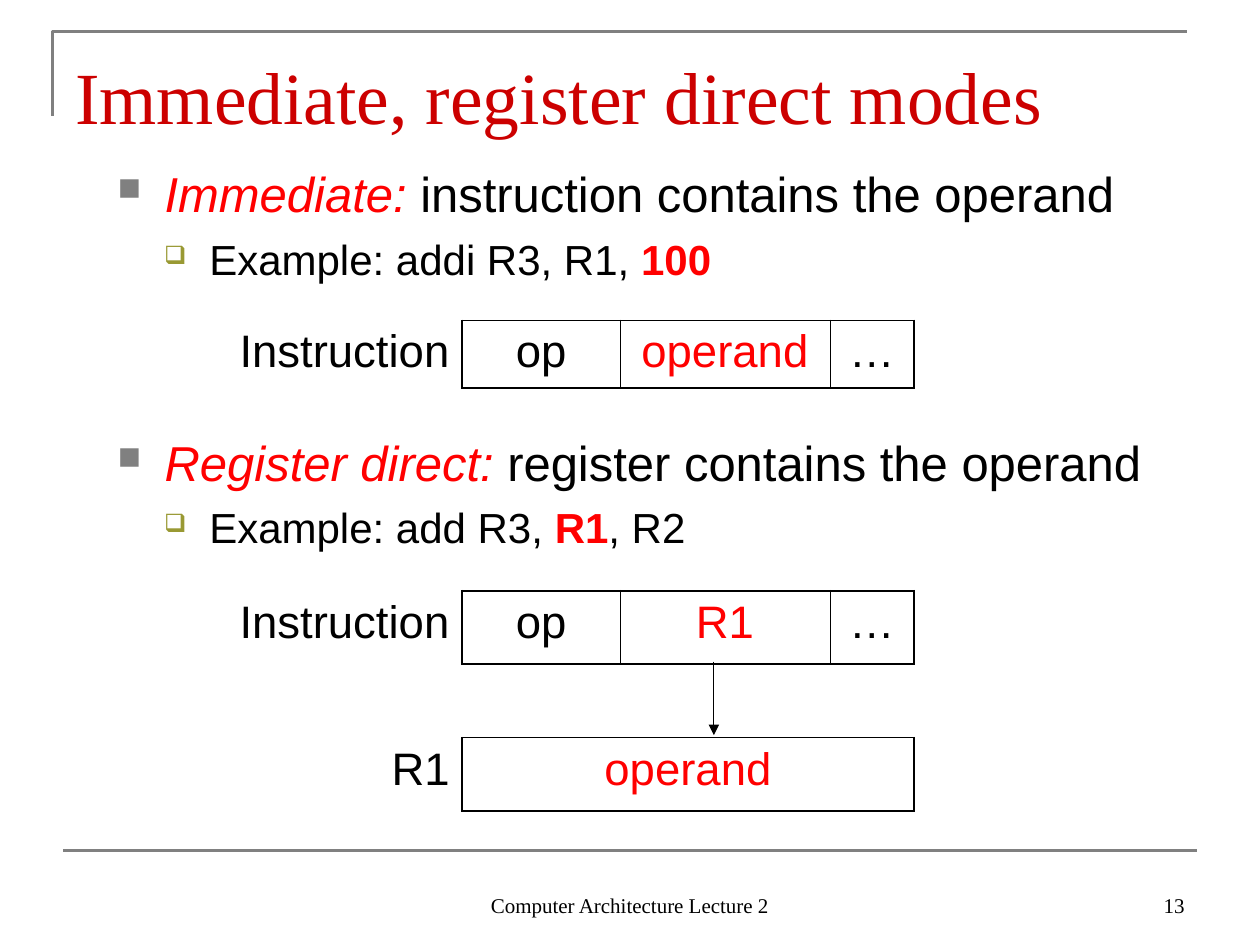
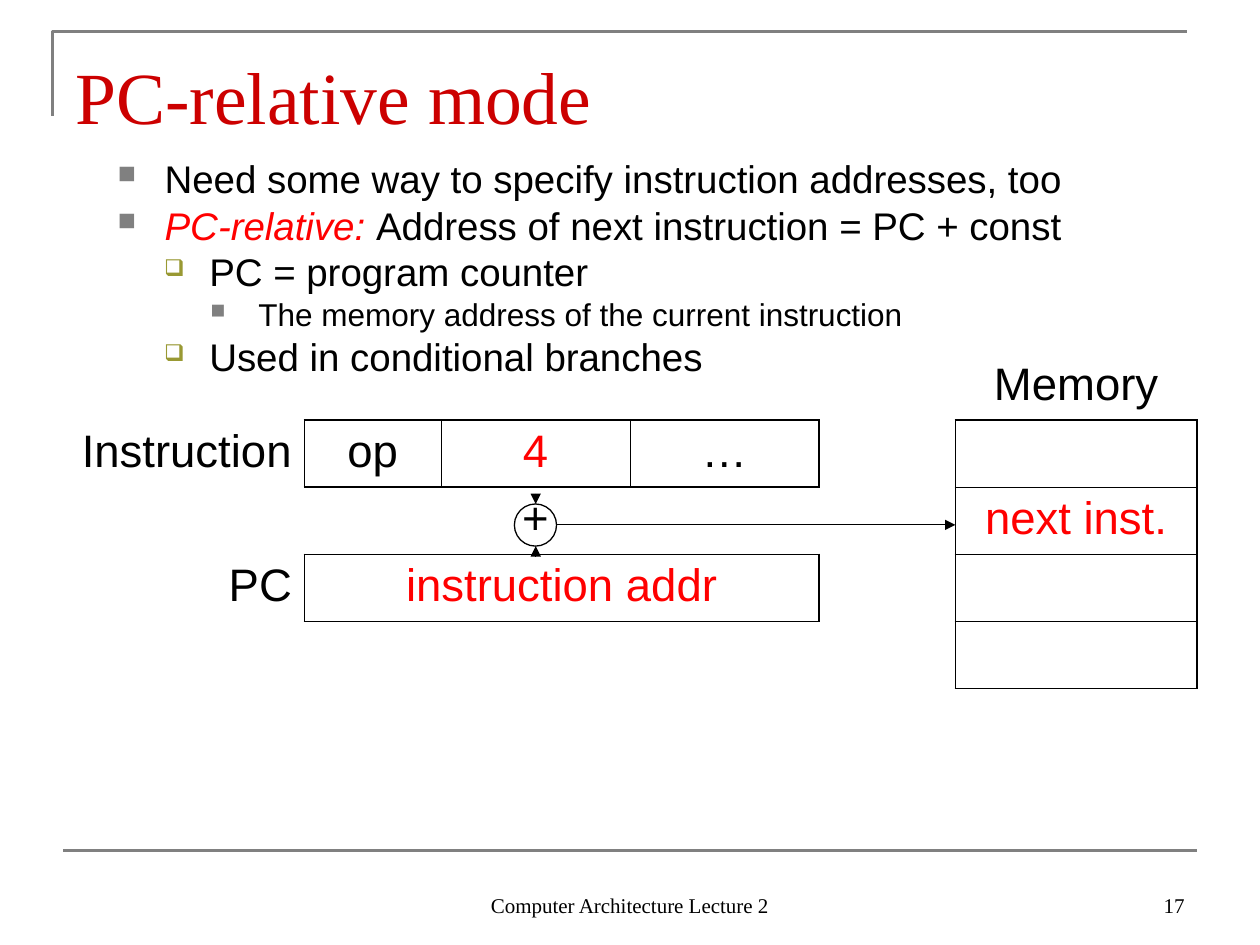
"""Build two slides on the addressing modes of a processor."""
from typing import NamedTuple

from lxml.etree import SubElement
from pptx import Presentation
from pptx.dml.color import RGBColor
from pptx.enum.shapes import MSO_CONNECTOR, MSO_SHAPE
from pptx.enum.text import MSO_ANCHOR, PP_ALIGN
from pptx.oxml.ns import qn
from pptx.util import Cm, Pt

HUES = {"ink": "000000", "red": "FF0000", "title": "CC0000",
        "grey": "808080", "olive": "999933"}
SERIF, SANS = "Times New Roman", "Arial"
THICK, THIN = 1.08, 0.45
PLAIN_STYLE = "{2D5ABB26-0587-4C30-8999-92F81FD0307C}"
SIDES = {"a:lnL": (0, -1), "a:lnR": (0, 1), "a:lnT": (-1, 0), "a:lnB": (1, 0)}


class Mark(NamedTuple):
    sign: str
    hue: str
    scale: int
    indent: float
    hang: float


class Phrase(NamedTuple):
    text: str
    hue: str = "ink"
    bold: bool = False
    slant: bool = False


class Point(NamedTuple):
    level: int
    size: float
    phrases: list[Phrase]
    before: float = 0
    pitch: float | None = None


class Frame(NamedTuple):
    top: int
    left: int
    bottom: int
    right: int

    def holds(self, row: int, col: int) -> bool:
        return self.top <= row <= self.bottom and self.left <= col <= self.right


class Label(NamedTuple):
    row: int
    col: int
    text: str
    hue: str = "ink"
    align: PP_ALIGN = PP_ALIGN.CENTER
    span: int = 1


class Grid(NamedTuple):
    left: float
    top: float
    cols: list[float]
    rows: int
    height: float
    frames: list[Frame]
    labels: list[Label]


class Arrow(NamedTuple):
    x1: float
    y1: float
    x2: float
    y2: float


MARKS = [Mark("■", "grey", 65, 0.95, 0.95),
         Mark("❑", "olive", 60, 1.85, 0.91),
         Mark("■", "grey", 65, 2.84, 0.97)]


def paint(name: str) -> RGBColor:
    return RGBColor.from_string(HUES[name])


def write(para, text: str, *, size: float, font: str = SANS, hue: str = "ink",
          bold: bool = False, slant: bool = False, align=None) -> None:
    if align is not None:
        para.alignment = align
    run = para.add_run()
    run.text = text
    face = run.font
    face.name, face.size = font, Pt(size)
    face.bold, face.italic = bold, slant
    face.color.rgb = paint(hue)


def add_box(slide, left: float, top: float, width: float, height: float,
            anchor=MSO_ANCHOR.TOP):
    frame = slide.shapes.add_textbox(
        Cm(left), Cm(top), Cm(width), Cm(height)).text_frame
    frame.word_wrap = True
    frame.vertical_anchor = anchor
    return frame


def add_line(slide, span: Arrow, hue: str = "ink", width: float = 0.75,
             head: bool = True) -> None:
    line = slide.shapes.add_connector(
        MSO_CONNECTOR.STRAIGHT, *(Cm(value) for value in span))
    line.line.color.rgb = paint(hue)
    line.line.width = Pt(width)
    if head:
        SubElement(line.line._get_or_add_ln(), qn("a:tailEnd"), type="triangle")
    SubElement(line._element.spPr, qn("a:effectLst"))


def add_mark(para, mark: Mark) -> None:
    props = para._p.get_or_add_pPr()
    props.set("marL", str(Cm(mark.indent)))
    props.set("indent", str(-Cm(mark.hang)))
    tint = SubElement(props, qn("a:buClr"))
    SubElement(tint, qn("a:srgbClr"), val=HUES[mark.hue])
    SubElement(props, qn("a:buSzPct"), val=str(mark.scale * 1000))
    SubElement(props, qn("a:buChar"), char=mark.sign)


def add_points(slide, height: float, points: list[Point]) -> None:
    frame = add_box(slide, 2.12, 3.18, 22.01, height)
    for index, point in enumerate(points):
        para = frame.add_paragraph() if index else frame.paragraphs[0]
        para.level = point.level
        add_mark(para, MARKS[point.level])
        if point.pitch:
            para.line_spacing = point.pitch
        if index:
            para.space_before = Pt(point.before)
        for phrase in point.phrases:
            write(para, phrase.text, size=point.size, hue=phrase.hue,
                  bold=phrase.bold, slant=phrase.slant)


def edge_width(frames: list[Frame], here: tuple, there: tuple) -> float:
    for frame in frames:
        inside = frame.holds(*here), frame.holds(*there)
        if any(inside):
            return THIN if all(inside) else THICK
    return 0


def add_edge(cell, side: str, width: float) -> None:
    props = cell._tc.get_or_add_tcPr()
    edge = SubElement(props, qn(side), w=str(Pt(width)))
    if width:
        fill = SubElement(edge, qn("a:solidFill"))
        SubElement(fill, qn("a:srgbClr"), val=HUES["ink"])
    else:
        SubElement(edge, qn("a:noFill"))


def add_grid(slide, grid: Grid) -> None:
    table = slide.shapes.add_table(
        grid.rows, len(grid.cols), Cm(grid.left), Cm(grid.top),
        Cm(sum(grid.cols)), Cm(grid.height * grid.rows)).table
    table.first_row = table.horz_banding = False
    table._tbl.tblPr.find(qn("a:tableStyleId")).text = PLAIN_STYLE
    for col, width in zip(table.columns, grid.cols):
        col.width = Cm(width)
    for row in table.rows:
        row.height = Cm(grid.height)
    for label in grid.labels:
        cell = table.cell(label.row, label.col)
        if label.span > 1:
            cell.merge(table.cell(label.row, label.col + label.span - 1))
        write(cell.text_frame.paragraphs[0], label.text, size=26,
              hue=label.hue, align=label.align)
    for row in range(grid.rows):
        for col in range(len(grid.cols)):
            cell = table.cell(row, col)
            if not cell.is_spanned:
                reach = cell.span_width if cell.is_merge_origin else 1
                for side, (down, step) in SIDES.items():
                    next_col = col + (reach if step > 0 else step)
                    width = edge_width(grid.frames, (row, col),
                                       (row + down, next_col))
                    add_edge(cell, side, width)
            cell.fill.background()


def add_slide(deck, title: str, number: int):
    slide = deck.slides.add_slide(deck.slide_layouts[6])
    pen = slide.shapes.build_freeform(Cm(1.06), Cm(2.33), scale=1.0)
    pen.add_line_segments([(Cm(1.06), Cm(0.64)), (Cm(23.92), Cm(0.64))],
                          close=False)
    corner = pen.convert_to_shape()
    corner.shadow.inherit = False
    corner.fill.background()
    corner.line.color.rgb = paint("grey")
    corner.line.width = Pt(1.5)
    add_line(slide, Arrow(1.27, 17.15, 24.13, 17.15), "grey", 1.5, head=False)
    for left, width, text, align in (
            (8.68, 8.04, "Computer Architecture Lecture 2", PP_ALIGN.CENTER),
            (18.2, 5.93, str(number), PP_ALIGN.RIGHT)):
        foot = add_box(slide, left, 17.36, width, 1.27, MSO_ANCHOR.BOTTOM)
        write(foot.paragraphs[0], text, size=12, font=SERIF, align=align)
    head = add_box(slide, 1.27, 0.91, 22.86, 1.98)
    write(head.paragraphs[0], title, size=42, font=SERIF, hue="title")
    return slide


def add_direct(deck) -> None:
    slide = add_slide(deck, "Immediate, register direct modes", 13)
    add_points(slide, 13.84, [
        Point(0, 28, [Phrase("Immediate: ", "red", slant=True),
                      Phrase("instruction contains the operand")]),
        Point(1, 24, [Phrase("Example: addi R3, R1, "),
                      Phrase("100", "red", bold=True)], 6),
        Point(0, 28, [Phrase("Register direct: ", "red", slant=True),
                      Phrase("register contains the operand")], 85),
        Point(1, 24, [Phrase("Example: add R3, "),
                      Phrase("R1", "red", bold=True), Phrase(", R2")], 6)])
    cols = [5.72, 3.18, 4.23, 1.69]
    word = Frame(0, 1, 0, 3)

    def fields(middle: str) -> list[Label]:
        return [Label(0, 0, "Instruction", align=PP_ALIGN.RIGHT),
                Label(0, 1, "op"), Label(0, 2, middle, "red"), Label(0, 3, "…")]

    add_grid(slide, Grid(3.6, 6.46, cols, 1, 1.35, [word], fields("operand")))
    add_grid(slide, Grid(
        3.6, 11.91, cols, 3, 1.48, [word, Frame(2, 1, 2, 3)],
        fields("R1") + [Label(2, 0, "R1", align=PP_ALIGN.RIGHT),
                        Label(2, 1, "operand", "red", span=3)]))
    add_line(slide, Arrow(14.39, 13.34, 14.39, 14.82))


def add_branch(deck) -> None:
    slide = add_slide(deck, "PC-relative mode", 17)
    add_points(slide, 4.88, [
        Point(level, size, phrases, before, 0.8)
        for level, size, before, phrases in (
            (0, 22, 0, [Phrase("Need some way to specify instruction addresses, too")]),
            (0, 22, 5.5, [Phrase("PC-relative: ", "red", slant=True),
                          Phrase("Address of next instruction = PC + const")]),
            (1, 22, 5.5, [Phrase("PC = program counter")]),
            (2, 18, 4.5, [Phrase("The memory address of the current instruction")]),
            (1, 22, 5.5, [Phrase("Used in conditional branches")]))])
    add_grid(slide, Grid(
        1.27, 7.11, [4.87, 2.75, 3.81, 3.81, 2.75, 4.87], 5, 1.35,
        [Frame(1, 1, 1, 3), Frame(3, 1, 3, 3), Frame(1, 5, 4, 5)],
        [Label(0, 5, "Memory"),
         Label(1, 0, "Instruction", align=PP_ALIGN.RIGHT),
         Label(1, 1, "op"), Label(1, 2, "4", "red"), Label(1, 3, "…"),
         Label(2, 2, "+"), Label(2, 5, "next inst.", "red"),
         Label(3, 0, "PC", align=PP_ALIGN.RIGHT),
         Label(3, 1, "instruction addr", "red", span=3)]))
    adder = slide.shapes.add_shape(
        MSO_SHAPE.OVAL, Cm(10.37), Cm(10.16), Cm(0.85), Cm(0.85))
    adder.shadow.inherit = False
    adder.fill.background()
    adder.line.color.rgb = paint("ink")
    adder.line.width = Pt(0.75)
    for arrow in (Arrow(10.8, 9.95, 10.8, 10.16),
                  Arrow(10.8, 11.22, 10.8, 11.01),
                  Arrow(11.22, 10.58, 19.26, 10.58)):
        add_line(slide, arrow)


def main() -> None:
    deck = Presentation()
    deck.slide_width, deck.slide_height = Cm(25.4), Cm(19.05)
    add_direct(deck)
    add_branch(deck)
    deck.save("out.pptx")


if __name__ == "__main__":
    main()
